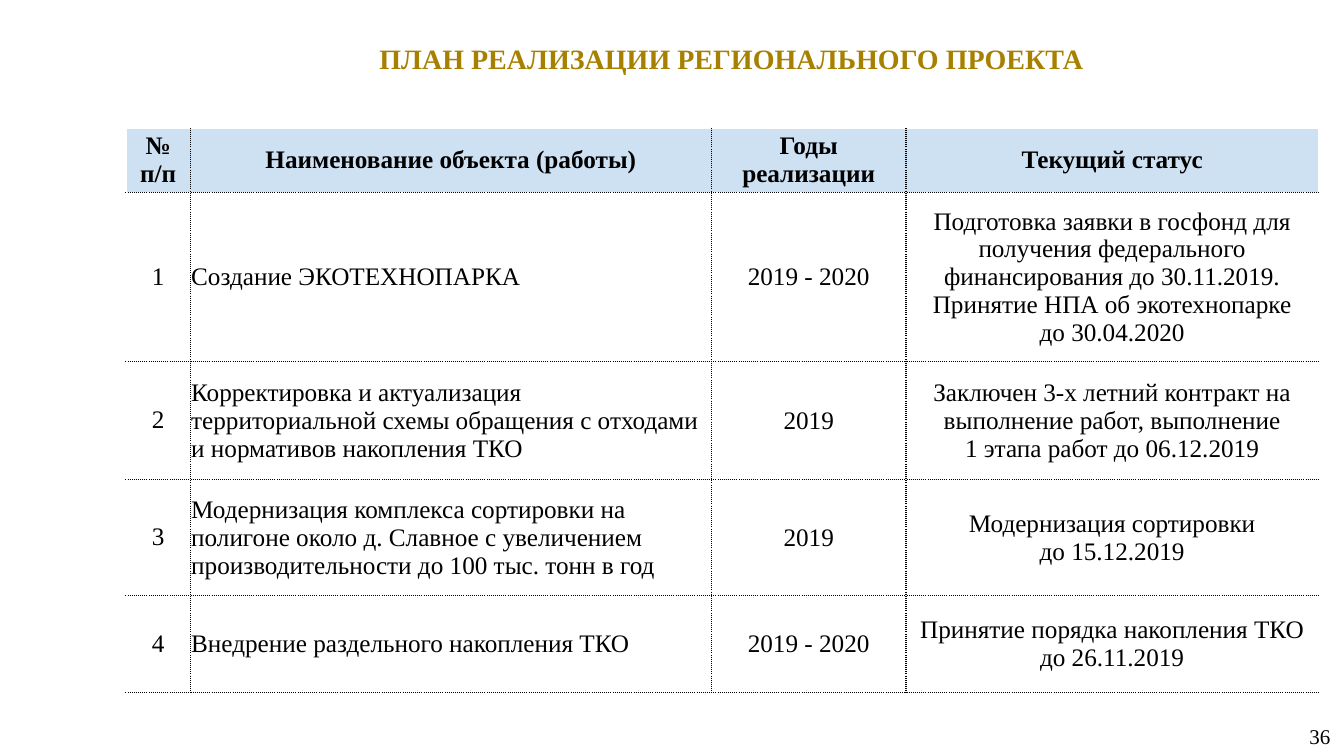
import lxml.etree
import pptx
import pptx.dml.color
import pptx.enum.text
import pptx.oxml.ns
import pptx.util

Pt = pptx.util.Pt
ALIGN = pptx.enum.text.PP_ALIGN
MIDDLE = pptx.enum.text.MSO_ANCHOR.MIDDLE
COLOURS = {"title": "A88000", "text": "000000", "header": "CEE1F2", "edge": "FFFFFF", "rule": "000000"}
FONT = "Times New Roman"
COLUMN_WIDTHS = [46, 372.2, 139, 294.5]
ROW_HEIGHTS = [45.9, 120.8, 84.2, 82.8, 69.3]
PLAN = [
    ["№ п/п", "Наименование объекта (работы)", "Годы реализации", "Текущий статус"],
    ["1", "Создание ЭКОТЕХНОПАРКА", "2019 - 2020",
     "Подготовка заявки в госфонд для получения федерального финансирования до 30.11.2019.\n"
     "Принятие НПА об экотехнопарке\nдо 30.04.2020"],
    ["2", "Корректировка и актуализация территориальной схемы обращения с отходами "
     "и нормативов накопления ТКО", "2019",
     "Заключен 3-х летний контракт на выполнение работ, выполнение\n1 этапа работ до 06.12.2019"],
    ["3", "Модернизация комплекса сортировки на полигоне около д. Славное с увеличением "
     "производительности до 100 тыс. тонн в год", "2019", "Модернизация сортировки\vдо 15.12.2019"],
    ["4", "Внедрение раздельного накопления ТКО", "2019 - 2020",
     "Принятие порядка накопления ТКО до 26.11.2019"],
]


def rgb(name):
    """Return the named colour."""
    return pptx.dml.color.RGBColor.from_string(COLOURS[name])


def write_text(text_frame, text, size, colour="text", bold=False, align=ALIGN.CENTER):
    """Fill a text frame and format its runs."""
    text_frame.text = text
    text_frame.word_wrap = True
    for paragraph in text_frame.paragraphs:
        paragraph.alignment = align
        for run in paragraph.runs:
            run.font.name = FONT
            run.font.size = Pt(size)
            run.font.bold = bold
            run.font.color.rgb = rgb(colour)


def set_borders(cell, outer_sides):
    """Draw white solid lines on the outer sides and dotted lines on the others."""
    properties = cell._tc.get_or_add_tcPr()
    qn = pptx.oxml.ns.qn
    for position, side in enumerate("LRTB"):
        outer = side in outer_sides
        line = lxml.etree.Element(qn("a:ln" + side), w=str(Pt(1)))
        fill = lxml.etree.SubElement(line, qn("a:solidFill"))
        lxml.etree.SubElement(fill, qn("a:srgbClr"), val=COLOURS["edge" if outer else "rule"])
        lxml.etree.SubElement(line, qn("a:prstDash"), val="solid" if outer else "sysDot")
        properties.insert(position, line)


def add_title(slide, left, top, width, height):
    """Place the slide title in the given box."""
    title = slide.shapes.title
    title.left, title.top, title.width, title.height = Pt(left), Pt(top), Pt(width), Pt(height)
    write_text(title.text_frame, "ПЛАН РЕАЛИЗАЦИИ РЕГИОНАЛЬНОГО ПРОЕКТА", 20, "title", True)
    title.text_frame.vertical_anchor = MIDDLE


def add_plan_table(slide, left, top):
    """Place the project plan table with its top left corner at the given point."""
    table = slide.shapes.add_table(len(PLAN), len(COLUMN_WIDTHS), Pt(left), Pt(top),
                                   Pt(sum(COLUMN_WIDTHS)), Pt(sum(ROW_HEIGHTS))).table
    table.first_row = table.horz_banding = False
    for column, width in zip(table.columns, COLUMN_WIDTHS):
        column.width = Pt(width)
    last_column = len(COLUMN_WIDTHS) - 1
    for row_index, texts in enumerate(PLAN):
        table.rows[row_index].height = Pt(ROW_HEIGHTS[row_index])
        is_header = row_index == 0
        for column_index, text in enumerate(texts):
            cell = table.cell(row_index, column_index)
            inset = 0 if is_header or column_index == 0 else 0.6
            cell.margin_left = cell.margin_right = cell.margin_top = Pt(inset)
            cell.margin_bottom = 0
            cell.vertical_anchor = MIDDLE
            is_name = column_index == 1 and not is_header
            write_text(cell.text_frame, text, 18, bold=is_header,
                       align=ALIGN.LEFT if is_name else ALIGN.CENTER)
            if is_header:
                cell.fill.solid()
                cell.fill.fore_color.rgb = rgb("header")
            else:
                cell.fill.background()
            outer_sides = ("T" * is_header + "L" * (column_index == 0)
                           + "R" * (column_index == last_column))
            set_borders(cell, outer_sides)


def add_page_number(slide, left, top, width, height):
    """Place the page number in the given box."""
    box = slide.shapes.add_textbox(Pt(left), Pt(top), Pt(width), Pt(height))
    write_text(box.text_frame, "36", 15)
    box.text_frame.vertical_anchor = MIDDLE


def main():
    """Build and save the presentation."""
    presentation = pptx.Presentation()
    presentation.slide_width, presentation.slide_height = Pt(960), Pt(540)
    slide = presentation.slides.add_slide(presentation.slide_layouts[5])
    add_title(slide, 92.9, 25.9, 859, 31)
    add_plan_table(slide, 90, 91.5)
    add_page_number(slide, 925.6, 511.2, 34.4, 28.8)
    presentation.save("out.pptx")


if __name__ == "__main__":
    main()
